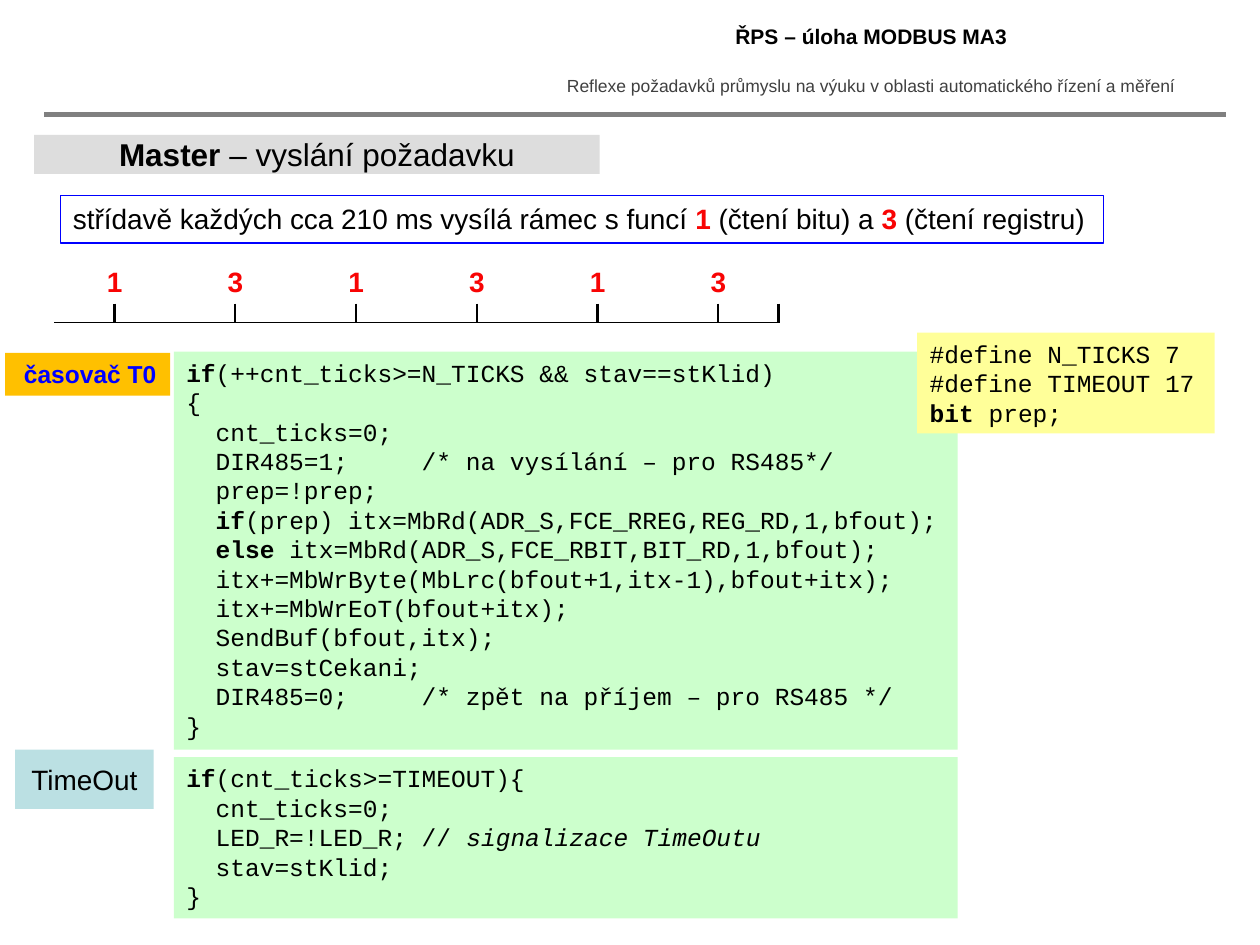
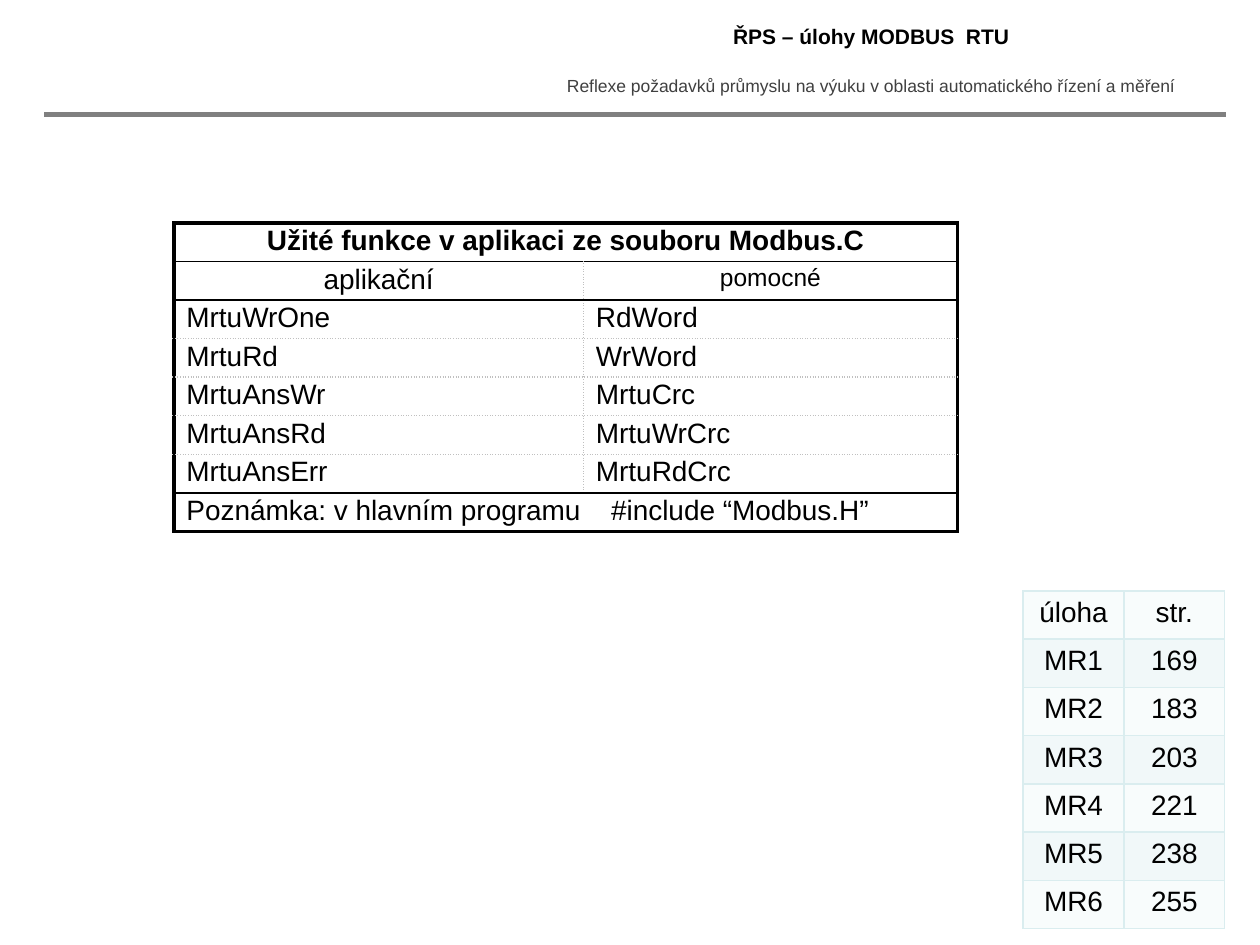
from lxml import etree
from pptx import Presentation
from pptx import util as u
from pptx.dml.color import RGBColor
from pptx.enum import shapes, text
from pptx.oxml.ns import qn

COLOURS = {
    "black": "000000", "red": "F80404", "blue": "0000FF", "tagline": "404040",
    "rule": "808080", "heading": "DDDDDD", "code": "CCFFCC", "defines": "FFFF99",
    "timer": "FFC000", "timeout": "BBE0E3", "dotted": "C0C0C0",
    "page_grid": "DAEDEF", "page_light": "F8FCFC", "page_dark": "F1F8F9",
}
RGB = {name: RGBColor.from_string(value) for name, value in COLOURS.items()}
NO_TABLE_STYLE = "{2D5ABB26-0587-4C30-8999-92F81FD0307C}"


def write(part, lines, size=16, font="Arial", colour="black", bold=False,
          align="LEFT", anchor="TOP", wrap=True, margins=(0.1, 0.05), left=None, tab=None):
    """Fill a shape or a cell; a line is a string or a list of (text, marks b, i, r)."""
    frame = part.text_frame
    is_cell = hasattr(part, "margin_left")
    holder = part if is_cell else frame
    holder.margin_left = u.Inches(margins[0] if left is None else left)
    holder.margin_right = u.Inches(margins[0])
    holder.margin_top = holder.margin_bottom = u.Inches(margins[1])
    holder.vertical_anchor = text.MSO_ANCHOR[anchor]
    if not is_cell:
        frame.auto_size = text.MSO_AUTO_SIZE.NONE
        frame.word_wrap = wrap
    for number, line in enumerate([lines] if isinstance(lines, str) else lines):
        paragraph = frame.add_paragraph() if number else frame.paragraphs[0]
        if tab:
            stops = etree.SubElement(paragraph._p.get_or_add_pPr(), qn("a:tabLst"))
            etree.SubElement(stops, qn("a:tab"), pos=str(u.Inches(tab)), algn="l")
        paragraph.alignment = text.PP_ALIGN[align]
        for words, marks in [(line, "")] if isinstance(line, str) else line:
            run = paragraph.add_run()
            run.text = words
            run.font.name, run.font.size = font, u.Pt(size)
            run.font.bold = bold or "b" in marks
            run.font.italic = "i" in marks
            run.font.color.rgb = RGB["red" if "r" in marks else colour]


def draw_borders(cell, **sides):
    """Draw cell edges L, R, T, B, each given as (colour, points, dash)."""
    for side in "LRTB":
        if side in sides:
            colour, width, dash = sides[side]
            edge = etree.SubElement(cell._tc.get_or_add_tcPr(), qn("a:ln" + side),
                                    w=str(u.Pt(width)))
            fill = etree.SubElement(edge, qn("a:solidFill"))
            etree.SubElement(fill, qn("a:srgbClr"), val=COLOURS[colour])
            etree.SubElement(edge, qn("a:prstDash"), val=dash)


deck = Presentation()
deck.slide_width, deck.slide_height = u.Inches(10), u.Inches(7.5)

# Shared header: title, tagline and rule
slides = []
for title in ("ŘPS – úloha MODBUS MA3", "ŘPS – úlohy MODBUS  RTU"):
    slide = deck.slides.add_slide(deck.slide_layouts[5])
    slides.append(slide)
    header = slide.shapes.title
    header.left, header.top = u.Inches(4.3), u.Inches(0.14)
    header.width, header.height = u.Inches(5.23), u.Inches(0.31)
    write(header, title, size=12, bold=True, align="CENTER")
    tagline = slide.shapes.add_textbox(*map(u.Inches, (4.3, 0.55, 5.22, 0.27)))
    write(tagline, "Reflexe požadavků průmyslu na výuku v oblasti automatického řízení a měření",
          size=10, colour="tagline", align="CENTER")
    rule = slide.shapes.add_connector(shapes.MSO_CONNECTOR.STRAIGHT,
                                      *map(u.Inches, (0.35, 0.91, 9.73, 0.91)))
    rule.line.color.rgb, rule.line.width = RGB["rule"], u.Pt(3)
    etree.SubElement(rule._element.spPr, qn("a:effectLst"))
request_slide, functions_slide = slides

# Slide 1: heading, note, code and labels
code = dict(size=14, font="Courier New")
send_code = [
    [("if", "b"), ("(++cnt_ticks>=N_TICKS && stav==stKlid)", "")],
    "{",
    "  cnt_ticks=0;",
    "  DIR485=1;     /* na vysílání – pro RS485*/",
    "  prep=!prep;",
    [("  ", ""), ("if", "b"), ("(prep) itx=MbRd(ADR_S,FCE_RREG,REG_RD,1,bfout);", "")],
    [("  ", ""), ("else ", "b"), ("itx=MbRd(ADR_S,FCE_RBIT,BIT_RD,1,bfout);", "")],
    "  itx+=MbWrByte(MbLrc(bfout+1,itx-1),bfout+itx);",
    "  itx+=MbWrEoT(bfout+itx);",
    "  SendBuf(bfout,itx);",
    "  stav=stCekani;",
    "  DIR485=0;     /* zpět na příjem – pro RS485 */",
    "}",
]
timeout_code = [
    [("if", "b"), ("(cnt_ticks>=TIMEOUT){", "")],
    "  cnt_ticks=0;",
    [("  LED_R=!LED_R; // ", ""), ("signalizace TimeOutu", "i")],
    "  stav=stKlid;",
    "}",
]
defines = ["#define N_TICKS 7", "#define TIMEOUT 17", [("bit ", "b"), ("prep;", "")]]
note = [[("střídavě každých cca 210 ms vysílá rámec s funcí ", ""), ("1", "br"),
         (" (čtení bitu) a ", ""), ("3", "br"), (" (čtení registru)", "")]]
boxes = [
    ((0.27, 1.07, 4.49, 0.31), "heading", [[("Master", "b"), (" – vyslání požadavku", "")]],
     dict(size=18, align="CENTER", anchor="MIDDLE", wrap=False)),
    ((0.48, 1.55, 8.28, 0.38), None, note, dict(wrap=False)),
    ((1.38, 6.01, 6.22, 1.28), "code", timeout_code, code),
    ((0.12, 5.95, 1.1, 0.47), "timeout", "TimeOut",
     dict(align="CENTER", anchor="MIDDLE", wrap=False)),
    ((1.38, 2.79, 6.22, 3.16), "code", send_code, code),
    ((7.28, 2.64, 2.36, 0.8), "defines", defines, code),
    ((0.04, 2.8, 1.31, 0.34), "timer", "časovač T0",
     dict(size=14, colour="blue", bold=True, wrap=False, left=0.15)),
]
for place, fill, words, style in boxes:
    box = request_slide.shapes.add_shape(shapes.MSO_SHAPE.RECTANGLE, *map(u.Inches, place))
    box.shadow.inherit = False
    if fill:
        box.fill.solid()
        box.fill.fore_color.rgb = RGB[fill]
        box.line.fill.background()
    else:
        box.fill.background()
        box.line.color.rgb, box.line.width = RGB["blue"], u.Pt(0.75)
    write(box, words, **style)

# Tables: place, column widths and row heights
tables = []
for slide, place, widths, heights in (
    (request_slide, (0.43, 2.1, 5.75, 0.46), [5.75 / 12] * 12, [0.31, 0.15]),
    (functions_slide, (1.38, 1.77, 6.22, 2.45), [3.25, 2.97], [2.45 / 8] * 8),
    (functions_slide, (8.12, 4.69, 1.6, 2.68), [0.8] * 2, [2.68 / 7] * 7),
):
    table = slide.shapes.add_table(len(heights), len(widths), *map(u.Inches, place)).table
    table.first_row = table.horz_banding = False
    table._tbl.tblPr.find(qn("a:tableStyleId")).text = NO_TABLE_STYLE
    for column, width in zip(table.columns, widths):
        column.width = u.Inches(width)
    for row, height in zip(table.rows, heights):
        row.height = u.Inches(height)
    tables.append(table)
timeline, functions, pages = tables

# Timeline: function numbers above ticks, which stand between the number columns
tick, axis = ("black", 1.5, "solid"), ("black", 1, "solid")
for col in range(12):
    if col % 2 == 0:
        number = timeline.cell(0, col)
        number.merge(timeline.cell(0, col + 1))
        write(number, "3" if col % 4 else "1", bold=True, colour="red",
              align="CENTER", margins=(0.04, 0.02))
    elif col < 11:
        timeline.cell(1, col).merge(timeline.cell(1, col + 1))
    mark = timeline.cell(1, col)
    edges = {"B": axis}
    if col % 2:
        edges["L"] = tick
    if col < 11:
        edges["R"] = tick
    draw_borders(mark, **edges)
    mark.margin_top = mark.margin_bottom = 0
    etree.SubElement(mark.text_frame.paragraphs[0]._p, qn("a:endParaRPr"), sz="400")
for cell in timeline.iter_cells():
    cell.fill.background()

# Slide 2: table of functions
outer, inner, dotted = ("black", 2.25, "solid"), ("black", 1, "solid"), ("dotted", 1, "sysDot")
levels = [outer, inner, inner] + [dotted] * 4 + [inner, outer]
function_rows = [
    ["Užité funkce v aplikaci ze souboru Modbus.C"],
    ["aplikační", "pomocné"],
    ["MrtuWrOne", "RdWord"],
    ["MrtuRd", "WrWord"],
    ["MrtuAnsWr", "MrtuCrc"],
    ["MrtuAnsRd", "MrtuWrCrc"],
    ["MrtuAnsErr", "MrtuRdCrc"],
    ["Poznámka: v hlavním programu\t#include “Modbus.H”"],
]
for row, names in enumerate(function_rows):
    spans = len(names) == 1
    if spans:
        functions.cell(row, 0).merge(functions.cell(row, 1))
    for col in range(2):
        cell = functions.cell(row, col)
        draw_borders(cell, L=dotted if col and not spans else outer,
                     R=outer if col or spans else dotted, T=levels[row], B=levels[row + 1])
        cell.fill.background()
        if col < len(names):
            write(cell, names[col], size=14 if names[col] == "pomocné" else 16,
                  bold=row == 0, align="CENTER" if row < 2 else "LEFT",
                  margins=(0.1, 0.02), tab=3.37 if "\t" in names[col] else None)

# Slide 2: table of tasks and pages
page_rows = [("úloha", "str."), ("MR1", "169"), ("MR2", "183"), ("MR3", "203"),
             ("MR4", "221"), ("MR5", "238"), ("MR6", "255")]
grid = ("page_grid", 1, "solid")
for row, values in enumerate(page_rows):
    for col, value in enumerate(values):
        cell = pages.cell(row, col)
        draw_borders(cell, L=grid, R=grid, T=grid, B=grid)
        cell.fill.solid()
        cell.fill.fore_color.rgb = RGB["page_dark" if row % 2 else "page_light"]
        write(cell, value, align="CENTER")

deck.save("out.pptx")
